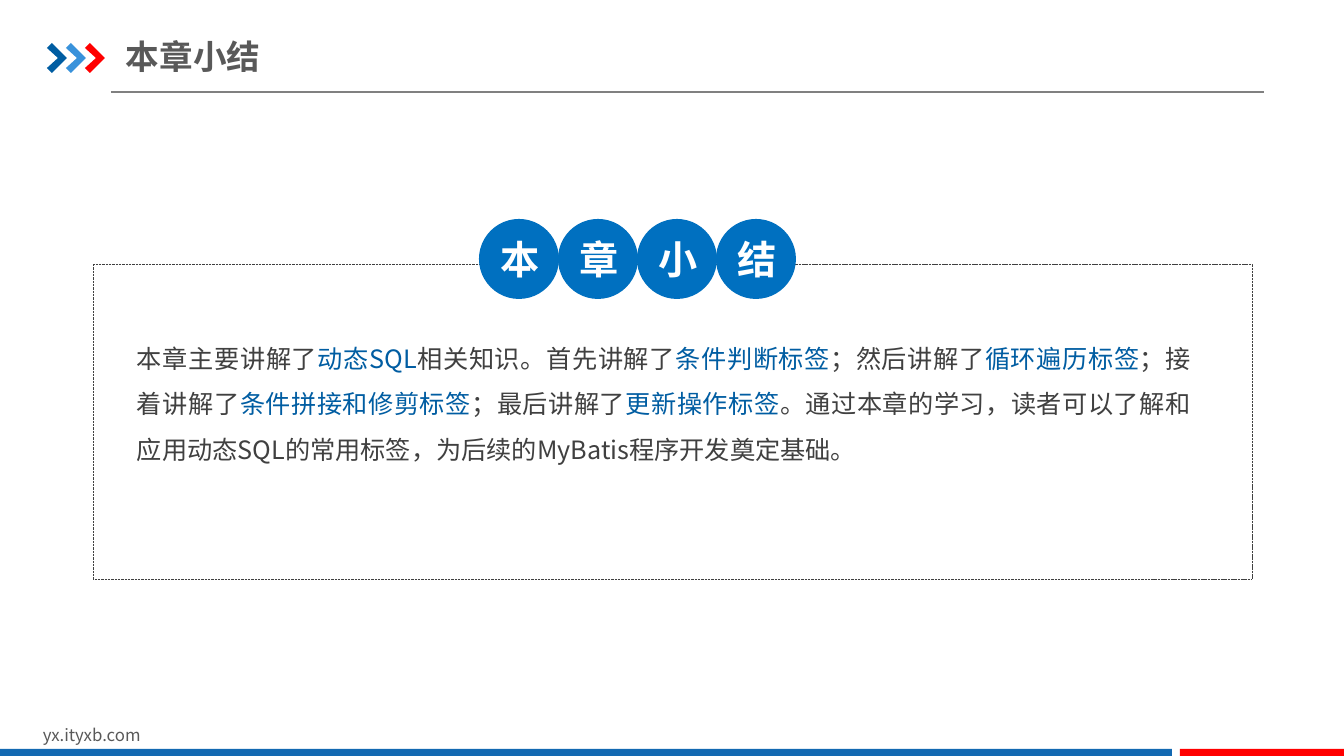
import pptx
import pptx.util
from lxml import etree
from pptx.dml.color import RGBColor
from pptx.enum.dml import MSO_LINE_DASH_STYLE
from pptx.enum.shapes import MSO_CONNECTOR, MSO_SHAPE
from pptx.enum.text import MSO_ANCHOR, MSO_AUTO_SIZE, PP_ALIGN
from pptx.oxml.ns import qn

PX = 914400 / 100.8
SLIDE_WIDTH, SLIDE_HEIGHT = 1344, 756
FONT = "Noto Sans CJK SC"

WHITE = RGBColor(0xFF, 0xFF, 0xFF)
RULE_GRAY = RGBColor(0x80, 0x80, 0x80)
HEADING_GRAY = RGBColor(0x59, 0x59, 0x59)
BODY_GRAY = RGBColor(0x40, 0x40, 0x40)
DEEP_BLUE = RGBColor(0x00, 0x5D, 0xA2)
LIGHT_BLUE = RGBColor(0x39, 0x92, 0xDB)
BADGE_BLUE = RGBColor(0x00, 0x70, 0xC0)
FOOTER_BLUE = RGBColor(0x13, 0x69, 0xB2)
RED = RGBColor(0xFF, 0x00, 0x00)

HEADING = "本章小结"
SUMMARY = [
    ("本章主要讲解了", BODY_GRAY),
    ("动态SQL", DEEP_BLUE),
    ("相关知识。首先讲解了", BODY_GRAY),
    ("条件判断标签", DEEP_BLUE),
    ("；然后讲解了", BODY_GRAY),
    ("循环遍历标签", DEEP_BLUE),
    ("；接着讲解了", BODY_GRAY),
    ("条件拼接和修剪标签", DEEP_BLUE),
    ("；最后讲解了", BODY_GRAY),
    ("更新操作标签", DEEP_BLUE),
    ("。通过本章的学习，读者可以了解和应用动态SQL的常用标签，"
     "为后续的MyBatis程序开发奠定基础。", BODY_GRAY),
]


def px(length):
    return pptx.util.Emu(round(length * PX))


def format_run(run, size, color, bold=False):
    """Style a run, with the font set for both Latin and Chinese text."""
    run.font.size = pptx.util.Pt(size)
    run.font.bold = bold
    run.font.color.rgb = color
    run.font.name = FONT
    latin = run.font._element.find(qn("a:latin"))
    east_asian = etree.Element(qn("a:ea"), typeface=FONT)
    latin.addnext(east_asian)


def set_insets(frame, horizontal, vertical):
    frame.margin_left = frame.margin_right = px(horizontal)
    frame.margin_top = frame.margin_bottom = px(vertical)


def fill_plain(shape, color):
    shape.shadow.inherit = False
    shape.fill.solid()
    shape.fill.fore_color.rgb = color
    shape.line.fill.background()


def add_filled(slide, preset, left, top, width, height, color):
    shape = slide.shapes.add_shape(
        preset, px(left), px(top), px(width), px(height))
    fill_plain(shape, color)
    return shape


def add_chevrons(slide, left, top):
    outline = [(0, 5), (5, 0), (20, 15), (5, 30), (0, 25), (11, 15)]
    for index, color in enumerate((DEEP_BLUE, LIGHT_BLUE, RED)):
        points = [(left + 19 * index + x, top + y) for x, y in outline]
        builder = slide.shapes.build_freeform(*points[0], scale=PX)
        builder.add_line_segments(points[1:], close=True)
        fill_plain(builder.convert_to_shape(), color)


def add_header(slide, left, top, width, height):
    add_chevrons(slide, left, top + 14)

    title = slide.shapes.title
    title.left, title.top = px(left + 79), px(top)
    title.width, title.height = px(625), px(55)
    frame = title.text_frame
    frame.text = HEADING
    frame.auto_size = MSO_AUTO_SIZE.NONE
    frame.vertical_anchor = MSO_ANCHOR.MIDDLE
    set_insets(frame, 0, 7)
    frame.paragraphs[0].alignment = PP_ALIGN.LEFT
    format_run(frame.paragraphs[0].runs[0], 24, HEADING_GRAY, bold=True)

    rule_y = px(top + height)
    rule = slide.shapes.add_connector(
        MSO_CONNECTOR.STRAIGHT, px(left + 64), rule_y, px(left + width), rule_y)
    rule.line.color.rgb = RULE_GRAY
    rule.line.width = pptx.util.Pt(0.75)
    etree.SubElement(rule._element.spPr, qn("a:effectLst"))


def add_summary_text(slide, left, top, width, height):
    summary = slide.shapes.add_textbox(px(left), px(top), px(width), px(height))
    frame = summary.text_frame
    frame.word_wrap = True
    set_insets(frame, 13, 7)
    paragraph = frame.paragraphs[0]
    paragraph.alignment = PP_ALIGN.JUSTIFY
    paragraph.line_spacing = 1.5
    for wording, color in SUMMARY:
        run = paragraph.add_run()
        run.text = wording
        format_run(run, 18, color)


def add_badges(slide, left, top, diameter, step):
    """Place one round badge for each character of the heading."""
    for index, character in enumerate(HEADING):
        badge = add_filled(slide, MSO_SHAPE.OVAL, left + index * step, top,
                           diameter, diameter, BADGE_BLUE)
        frame = badge.text_frame
        frame.text = character
        frame.vertical_anchor = MSO_ANCHOR.MIDDLE
        frame.paragraphs[0].alignment = PP_ALIGN.CENTER
        format_run(frame.paragraphs[0].runs[0], 28, WHITE, bold=True)


def add_summary_panel(slide, left, top, width, height):
    add_summary_text(slide, left + 31, top + 57, width - 79, 151)

    border = slide.shapes.add_shape(
        MSO_SHAPE.ROUNDED_RECTANGLE, px(left), px(top), px(width), px(height))
    border.adjustments[0] = 0
    border.shadow.inherit = False
    border.fill.background()
    border.line.color.rgb = BODY_GRAY
    border.line.width = pptx.util.Pt(0.25)
    border.line.dash_style = MSO_LINE_DASH_STYLE.SQUARE_DOT

    add_badges(slide, left + 386, top - 45, diameter=80, step=79)


def add_footer(slide, left, top, width, height):
    address = slide.shapes.add_textbox(
        px(left + 33), px(top), px(321), px(30))
    address.text_frame.word_wrap = True
    address.text_frame.text = "yx.ityxb.com"
    format_run(address.text_frame.paragraphs[0].runs[0], 12, HEADING_GRAY)

    bar_height, red_width, gap = 7, 164, 8
    bar_top = top + height - bar_height
    add_filled(slide, MSO_SHAPE.RECTANGLE, left, bar_top,
               width - red_width - gap, bar_height, FOOTER_BLUE)
    add_filled(slide, MSO_SHAPE.RECTANGLE, left + width - red_width, bar_top,
               red_width, bar_height, RED)


def main():
    presentation = pptx.Presentation()
    presentation.slide_width = px(SLIDE_WIDTH)
    presentation.slide_height = px(SLIDE_HEIGHT)
    slide = presentation.slides.add_slide(presentation.slide_layouts[5])
    add_header(slide, 47, 29, 1217, 63)
    add_footer(slide, 0, 720, SLIDE_WIDTH, 36)
    add_summary_panel(slide, 93, 264, 1159, 315)
    presentation.save("out.pptx")


if __name__ == "__main__":
    main()
